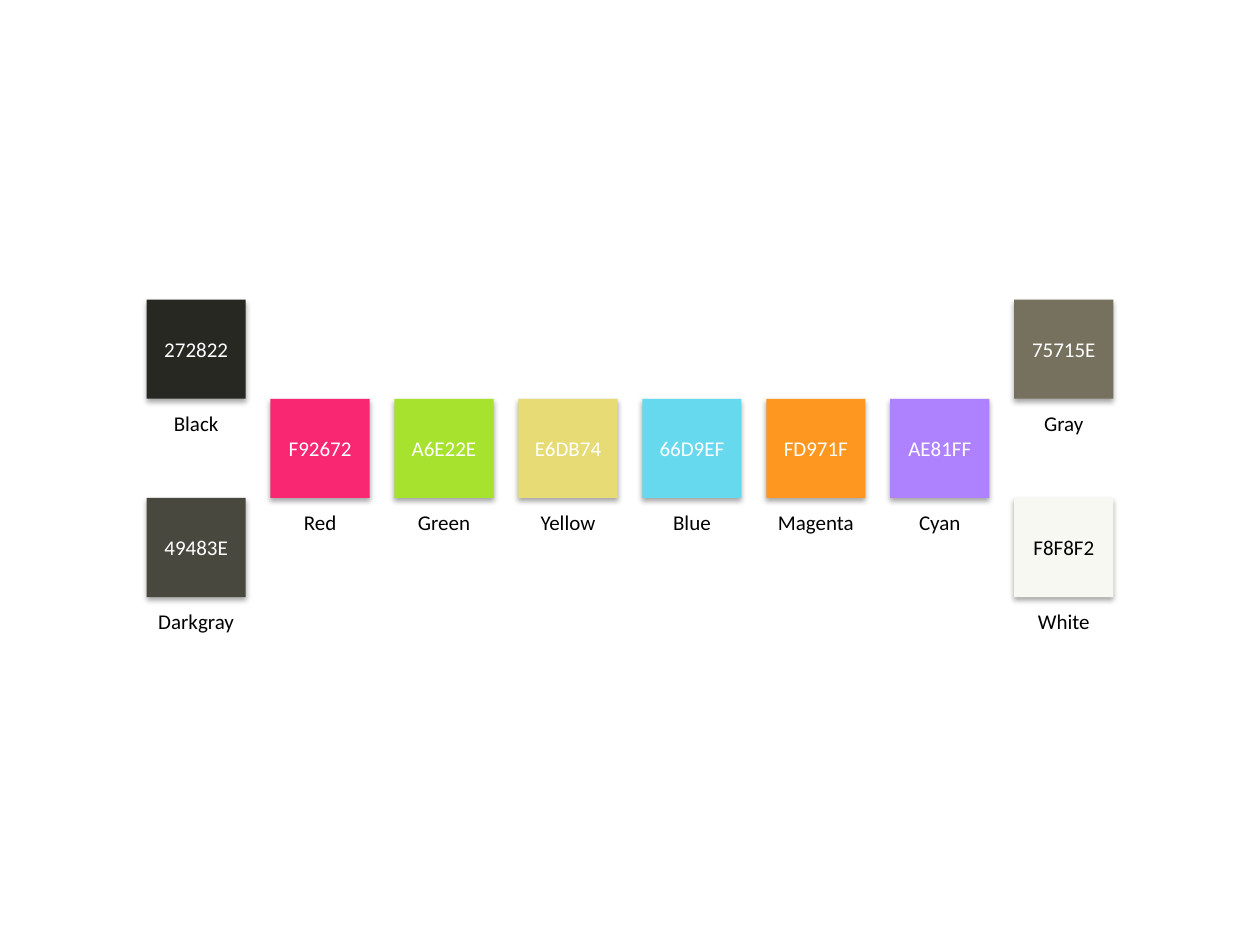
from lxml import etree
from pptx import Presentation
from pptx.dml.color import RGBColor
from pptx.enum.shapes import MSO_SHAPE
from pptx.enum.text import MSO_ANCHOR, PP_ALIGN
from pptx.oxml.ns import qn
from pptx.util import Pt

SWATCHES = [
    ("Black", "272822", 0, 0),
    ("Darkgray", "49483E", 0, 2),
    ("Red", "F92672", 1, 1),
    ("Green", "A6E22E", 2, 1),
    ("Yellow", "E6DB74", 3, 1),
    ("Blue", "66D9EF", 4, 1),
    ("Magenta", "FD971F", 5, 1),
    ("Cyan", "AE81FF", 6, 1),
    ("Gray", "75715E", 7, 0),
    ("White", "F8F8F2", 7, 2),
]
LEFT, TOP = 83.75, 171.2
SIDE = 56.7
PITCH = 70.83
LABEL_DROP = 56.3
LABEL_HEIGHT = SIDE / 2


def color(value):
    return RGBColor.from_string(value)


def write(shape, text, ink):
    frame = shape.text_frame
    frame.word_wrap = True
    frame.margin_left = frame.margin_right = 0
    frame.vertical_anchor = MSO_ANCHOR.MIDDLE
    paragraph = frame.paragraphs[0]
    paragraph.alignment = PP_ALIGN.CENTER
    run = paragraph.add_run()
    run.text = text
    run.font.name = "Calibri"
    run.font.size = Pt(12)
    run.font.color.rgb = color(ink)


def add_shadow(shape):
    shape.shadow.inherit = False
    effects = shape._element.spPr.find(qn("a:effectLst"))
    shadow = etree.SubElement(
        effects, qn("a:outerShdw"), blurRad=str(Pt(3.15)), dist=str(Pt(1.8)),
        dir="5400000", rotWithShape="0")
    black = etree.SubElement(shadow, qn("a:srgbClr"), val="000000")
    etree.SubElement(black, qn("a:alpha"), val="35000")


def add_swatch(slide, name, code, column, row):
    x, y = LEFT + column * PITCH, TOP + row * SIDE
    square = slide.shapes.add_shape(
        MSO_SHAPE.RECTANGLE, Pt(x), Pt(y), Pt(SIDE), Pt(SIDE))
    square.fill.solid()
    square.fill.fore_color.rgb = color(code)
    square.line.fill.background()
    add_shadow(square)
    write(square, code, "000000" if name == "White" else "FFFFFF")
    label = slide.shapes.add_textbox(
        Pt(x), Pt(y + LABEL_DROP), Pt(SIDE), Pt(LABEL_HEIGHT))
    write(label, name, "000000")


deck = Presentation()
deck.slide_width, deck.slide_height = Pt(720), Pt(540)
palette = deck.slides.add_slide(deck.slide_layouts[6])
for swatch in SWATCHES:
    add_swatch(palette, *swatch)
deck.save("out.pptx")
